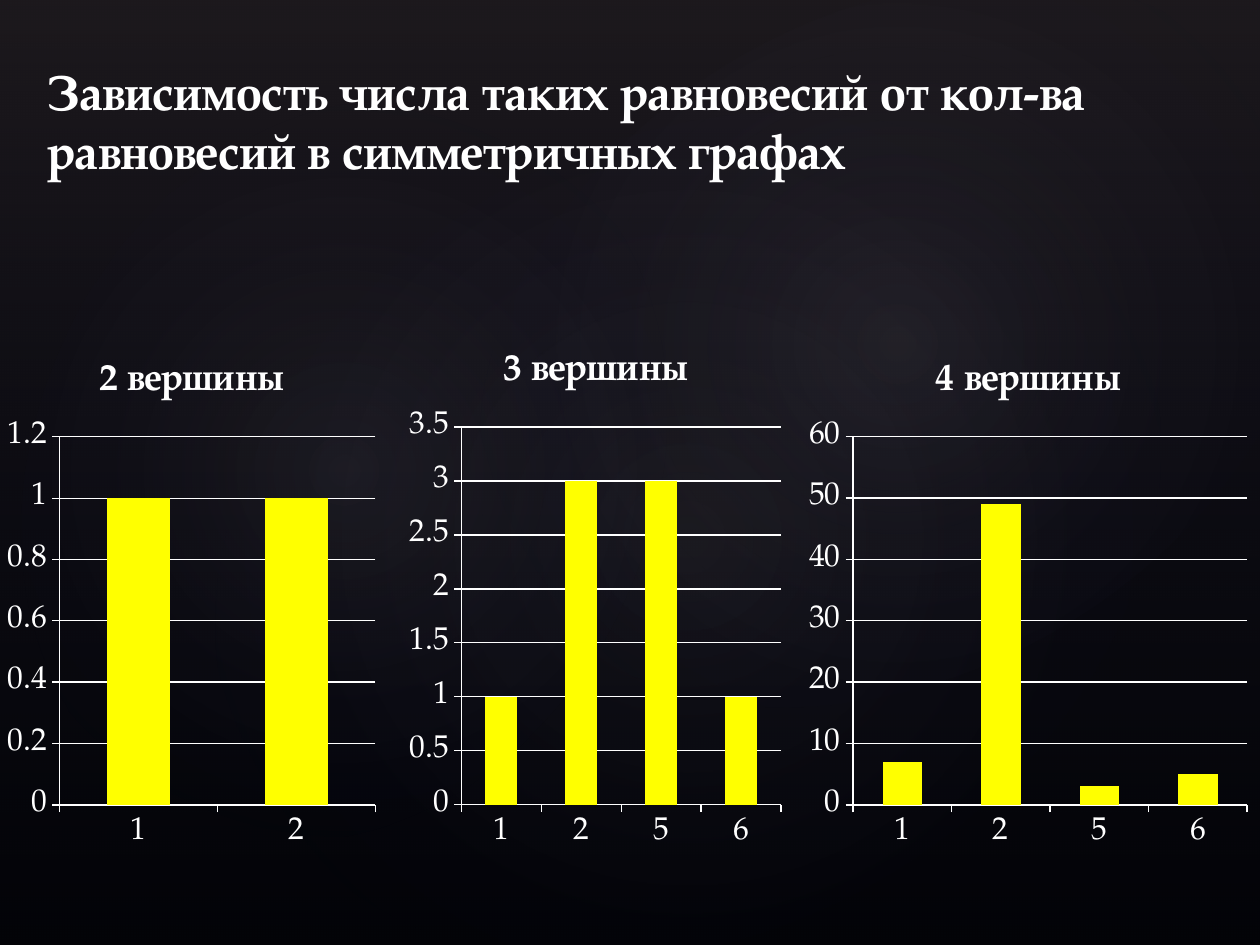
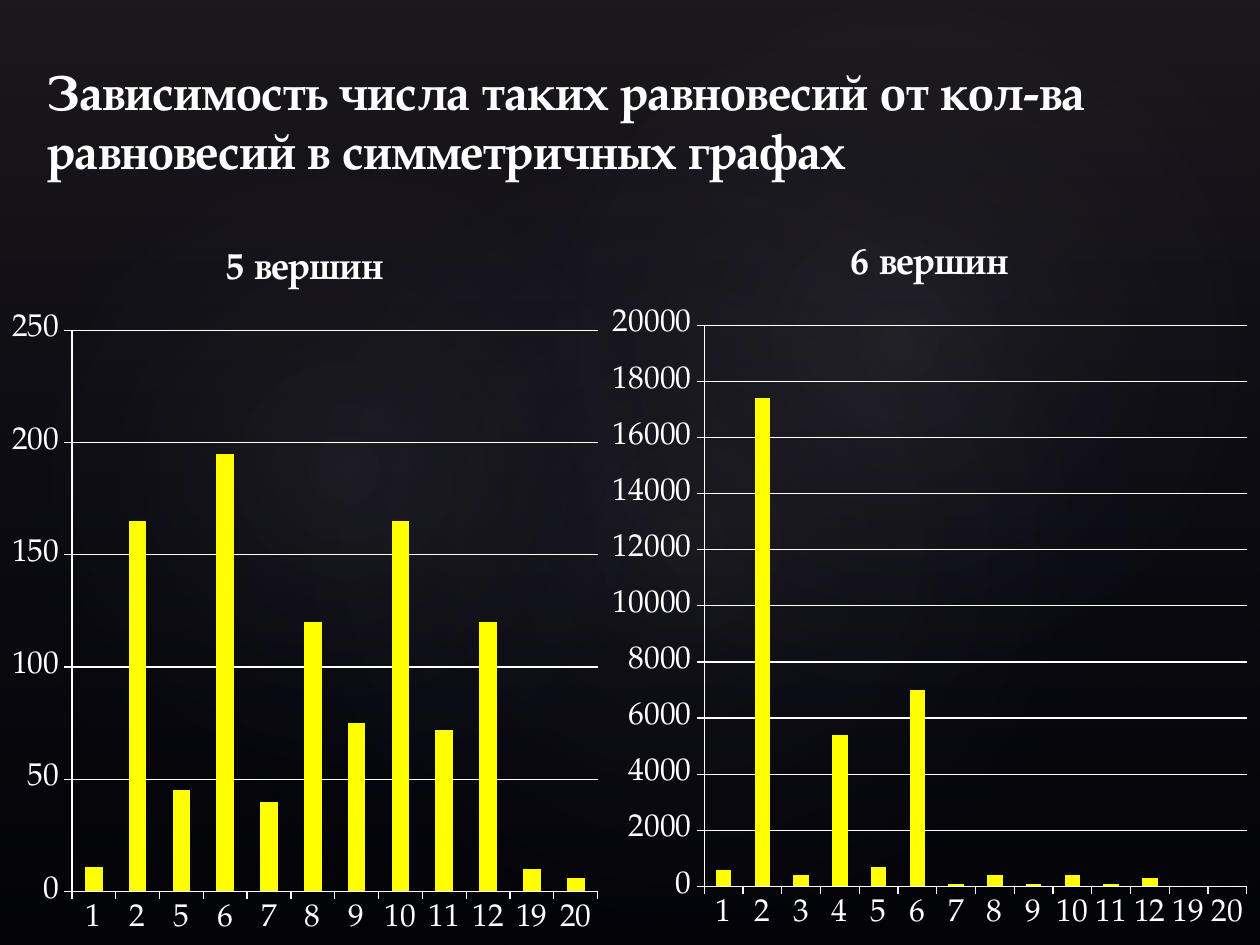
"""Builds two slides of column charts on equilibria in symmetric graphs."""
import lxml.etree
import pptx
import pptx.chart.data
import pptx.dml.color
import pptx.enum.chart
import pptx.enum.shapes
import pptx.enum.text
import pptx.oxml
import pptx.oxml.ns
import pptx.util

Inches, Pt = pptx.util.Inches, pptx.util.Pt
SHAPE = pptx.enum.shapes.MSO_SHAPE
COLORS = {"back": "000000", "text": "FFFFFF", "bar": "FFFF00",
          "haze": "504652", "navy": "242852", "glow": "C4BCC6"}
FONT = "TeX Gyre Pagella"
TITLE = "Зависимость числа таких равновесий от кол-ва равновесий в симметричных графах"
LINEAR = '<a:lin ang="5400000" scaled="0"/>'
RADIAL = ('<a:path path="circle"><a:fillToRect l="50000" t="50000" '
          'r="50000" b="50000"/></a:path>')
GLOWS = [((1.5, 1.14, 7.92, 6.24), 328.7, 7),
         ((-0.3, 1.28, 6.06, 4.9), 294.3, 8),
         ((3.58, 0.13, 7.09, 5.2), 328.7, 8)]
SLIDES = [
    [("2 вершины", (0, 2.65, 3.04, 4.17), [1, 2], [1, 1]),
     ("3 вершины", (3.19, 2.57, 3.07, 4.25), [1, 2, 5, 6], [1, 3, 3, 1]),
     ("4 вершины", (6.35, 2.65, 3.62, 4.17), [1, 2, 5, 6], [7, 49, 3, 5])],
    [("6 вершин", (4.76, 1.7, 5.24, 5.8), [*range(1, 13), 19, 20],
      [600, 17400, 400, 5400, 700, 7000, 100, 400, 100, 400, 100, 300, 0, 0]),
     ("5 вершин", (0, 1.74, 4.84, 5.8), [1, 2, *range(5, 13), 19, 20],
      [11, 165, 45, 195, 40, 120, 75, 165, 72, 120, 10, 6])],
]


def rgb(name):
    return pptx.dml.color.RGBColor.from_string(COLORS[name])


class Deck:
    def __init__(self):
        self.prs = pptx.Presentation()
        self.prs.slide_width, self.prs.slide_height = Inches(10), Inches(7.5)
        self.s = None

    def slide(self):
        self.s = self.prs.slides.add_slide(self.prs.slide_layouts[6])
        fill = self.s.background.fill
        fill.solid()
        fill.fore_color.rgb = rgb("back")
        self.gradient(SHAPE.RECTANGLE, (0, 0, 10, 7.5),
                      [(0, "haze", 36), (100, "navy", 10)], LINEAR)
        for box, angle, alpha in GLOWS:
            self.gradient(SHAPE.OVAL, box,
                          [(0, "glow", alpha), (58, "navy", 0)], RADIAL, angle)

    def gradient(self, kind, box, stops, direction, angle=0):
        sp = self.s.shapes.add_shape(kind, *map(Inches, box))
        sp.rotation = angle
        sp.shadow.inherit = False
        sp.line.fill.background()
        sp.fill.background()
        gs = "".join(f'<a:gs pos="{pos * 1000}"><a:srgbClr val="{COLORS[name]}">'
                     f'<a:alpha val="{alpha * 1000}"/></a:srgbClr></a:gs>'
                     for pos, name, alpha in stops)
        grad = pptx.oxml.parse_xml(
            f'<a:gradFill {pptx.oxml.ns.nsdecls("a")} rotWithShape="1">'
            f'<a:gsLst>{gs}</a:gsLst>{direction}</a:gradFill>')
        sppr = sp.element.spPr
        sppr.replace(sppr.find(pptx.oxml.ns.qn("a:noFill")), grad)

    def font(self, font, size, bold=False):
        font.name, font.size, font.bold = FONT, Pt(size), bold
        font.color.rgb = rgb("text")

    def line(self, line):
        line.color.rgb = rgb("text")
        line.width = Pt(0.75)

    def title(self, text):
        tf = self.s.shapes.add_textbox(*map(Inches, (0.28, 0.21, 9.37, 1.26))).text_frame
        tf.word_wrap = True
        tf.vertical_anchor = pptx.enum.text.MSO_ANCHOR.BOTTOM
        p = tf.paragraphs[0]
        p.text = text
        self.font(p.font, 28, True)

    def chart(self, name, box, vertices, counts):
        data = pptx.chart.data.CategoryChartData()
        data.categories = [str(v) for v in vertices]
        data.add_series(name, counts)
        chart = self.s.shapes.add_chart(
            pptx.enum.chart.XL_CHART_TYPE.COLUMN_STACKED, *map(Inches, box), data).chart
        self.font(chart.font, 18)
        chart.has_legend = False
        chart.has_title = True
        p = chart.chart_title.text_frame.paragraphs[0]
        p.text = name
        self.font(p.font, 21.6, True)
        chart.chart_title.include_in_layout = False
        plot = chart.plots[0]
        plot.gap_width, plot.overlap = 150, 100
        plot.vary_by_categories = False
        fill = plot.series[0].format.fill
        fill.solid()
        fill.fore_color.rgb = rgb("bar")
        for axis in (chart.category_axis, chart.value_axis):
            axis.major_tick_mark = pptx.enum.chart.XL_TICK_MARK.OUTSIDE
            self.line(axis.format.line)
        chart.value_axis.has_major_gridlines = True
        self.line(chart.value_axis.major_gridlines.format.line)


def main():
    deck = Deck()
    for charts in SLIDES:
        deck.slide()
        deck.title(TITLE)
        for chart in charts:
            deck.chart(*chart)
    deck.prs.save("out.pptx")


if __name__ == "__main__":
    main()
